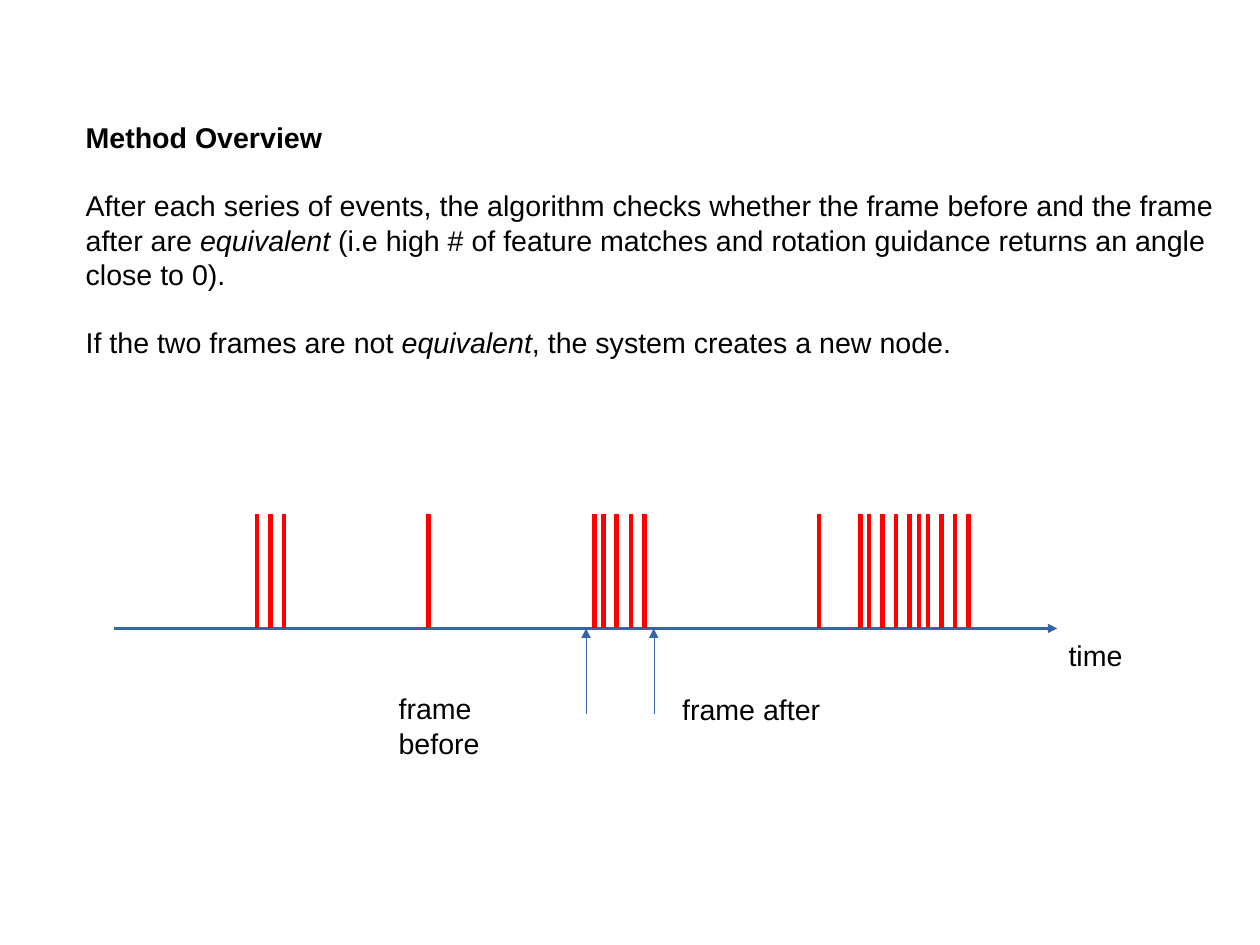
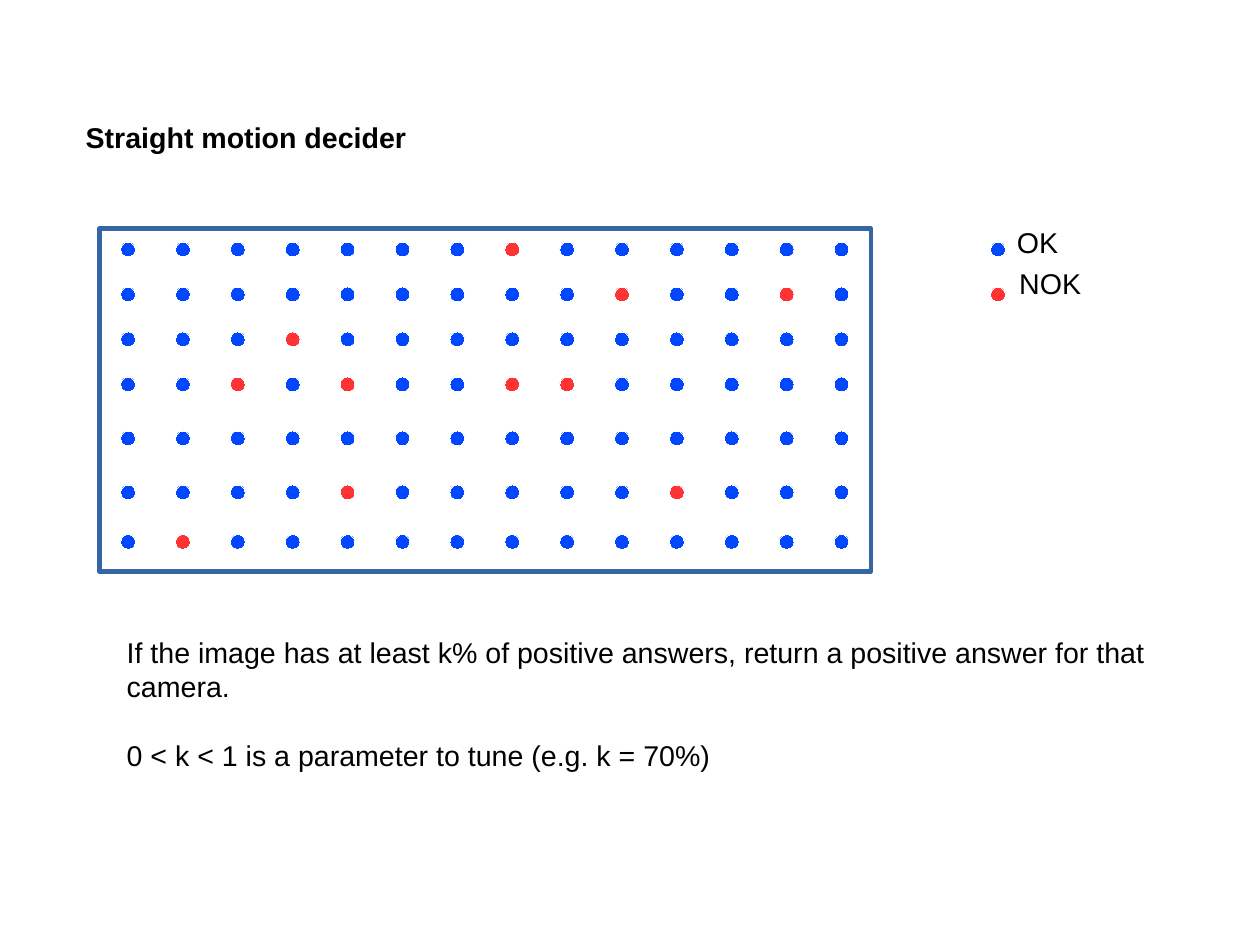
from lxml import etree
from pptx import Presentation
from pptx import util as u
from pptx.dml.color import RGBColor
from pptx.enum import shapes, text
from pptx.oxml.ns import qn

Pt = u.Pt
COLORS = {
    "text": "000000", "axis": "3465A4", "event": "FF0000",
    "ok": "0047FF", "nok": "FF3333", "paper": "FFFFFF",
}
FONT, FONT_SIZE, PARA_GAP = "Arial", 18, 21.5
HAIRLINE = 0.01
TITLE_BOX = (46.9, 72, 727.2)


def add_text(page, left, top, width, height, paragraphs):
    """Each paragraph is a list of (words, style); style is "", "bold" or "italic"."""
    box = page.shapes.add_textbox(Pt(left), Pt(top), Pt(width), Pt(height))
    frame = box.text_frame
    frame.word_wrap = True
    frame.vertical_anchor = text.MSO_ANCHOR.TOP
    for index, spans in enumerate(paragraphs):
        para = frame.add_paragraph() if index else frame.paragraphs[0]
        if index:
            para.space_before = Pt(PARA_GAP)
        for words, style in spans:
            span = para.add_run()
            span.text = words
            span.font.name = FONT
            span.font.size = Pt(FONT_SIZE)
            span.font.bold = style == "bold"
            span.font.italic = style == "italic"
            span.font.color.rgb = RGBColor.from_string(COLORS["text"])


def add_line(page, start, end, color, width, arrow=False):
    line = page.shapes.add_connector(
        shapes.MSO_CONNECTOR.STRAIGHT, *(Pt(value) for value in start + end))
    line.line.color.rgb = RGBColor.from_string(COLORS[color])
    line.line.width = Pt(width)
    properties = line._element.spPr
    if arrow:
        etree.SubElement(properties.find(qn("a:ln")), qn("a:tailEnd"), type="triangle")
    etree.SubElement(properties, qn("a:effectLst"))


deck = Presentation()
deck.slide_width, deck.slide_height = Pt(793.7), Pt(595.28)
blank = deck.slide_layouts[6]

# Method overview: events on a time axis
page = deck.slides.add_slide(blank)
add_text(page, *TITLE_BOX, 329, [
    [("Method Overview", "bold")],
    [("After each series of events, the algorithm checks whether the frame before "
      "and the frame after are ", ""),
     ("equivalent", "italic"),
     (" (i.e high # of feature matches and rotation guidance returns an angle "
      "close to 0).", "")],
    [("If the two frames are not ", ""),
     ("equivalent", "italic"),
     (", the system creates a new node.", "")],
])

AXIS_Y, EVENT_HEIGHT, FRAME_HEIGHT = 395.9, 72, 54
add_line(page, (72, AXIS_Y), (666, AXIS_Y), "axis", 1.45, arrow=True)
event_times = [
    162, 170.5, 179, 270, 374.5, 380, 388.5, 397.5, 406, 516,
    542, 547.5, 556, 564.5, 573, 579, 584.5, 593, 601.5, 610,
]
for x in event_times:
    add_line(page, (x, AXIS_Y), (x, AXIS_Y - EVENT_HEIGHT), "event", 2.89)
for x in (369.2, 411.8):
    add_line(page, (x, AXIS_Y + FRAME_HEIGHT), (x, AXIS_Y), "axis", HAIRLINE, arrow=True)

for label, left, top, width, height in [
    ("time", 666, 398, 54, 34),
    ("frame before", 244, 432, 106, 56),
    ("frame after", 422.6, 432, 106, 34),
]:
    add_text(page, left, top, width, height, [[(label, "")]])

# Straight motion decider: grid of answers
page = deck.slides.add_slide(blank)
image = page.shapes.add_shape(
    shapes.MSO_SHAPE.RECTANGLE, Pt(62.6), Pt(144), Pt(486), Pt(216))
image.shadow.inherit = False
image.fill.solid()
image.fill.fore_color.rgb = RGBColor.from_string(COLORS["paper"])
image.line.color.rgb = RGBColor.from_string(COLORS["axis"])
image.line.width = Pt(2.89)
add_text(page, *TITLE_BOX, 114, [[("Straight motion decider", "bold")]])

DOT_SIZE, COLUMNS, GRID_LEFT, COLUMN_STEP = 9.4, 14, 76, 34.57
row_tops = [152.4, 180.7, 209, 237.4, 271.4, 305.4, 336.6]
nok_columns = [{7}, {9, 12}, {3}, {2, 4, 7, 8}, set(), {4, 10}, {1}]
dots = [
    (GRID_LEFT + column * COLUMN_STEP, top, "nok" if column in nok else "ok")
    for top, nok in zip(row_tops, nok_columns)
    for column in range(COLUMNS)
]
dots += [(624, row_tops[0], "ok"), (624, row_tops[1], "nok")]
for left, top, answer in dots:
    dot = page.shapes.add_shape(
        shapes.MSO_SHAPE.OVAL, Pt(left), Pt(top), Pt(DOT_SIZE), Pt(DOT_SIZE))
    dot.shadow.inherit = False
    dot.fill.solid()
    dot.fill.fore_color.rgb = RGBColor.from_string(COLORS[answer])
    dot.line.color.rgb = RGBColor.from_string(COLORS["paper"])
    dot.line.width = Pt(HAIRLINE)

add_text(page, 633.5, 138.2, 46, 34, [[("OK", "")]])
add_text(page, 635, 163.8, 58, 34, [[("NOK", "")]])
add_text(page, 72.7, 396.5, 682.6, 115, [
    [("If the image has at least k% of positive answers, return a positive answer "
      "for that camera.", "")],
    [("0 < k < 1 is a parameter to tune (e.g. k = 70%)", "")],
])

deck.save("out.pptx")
